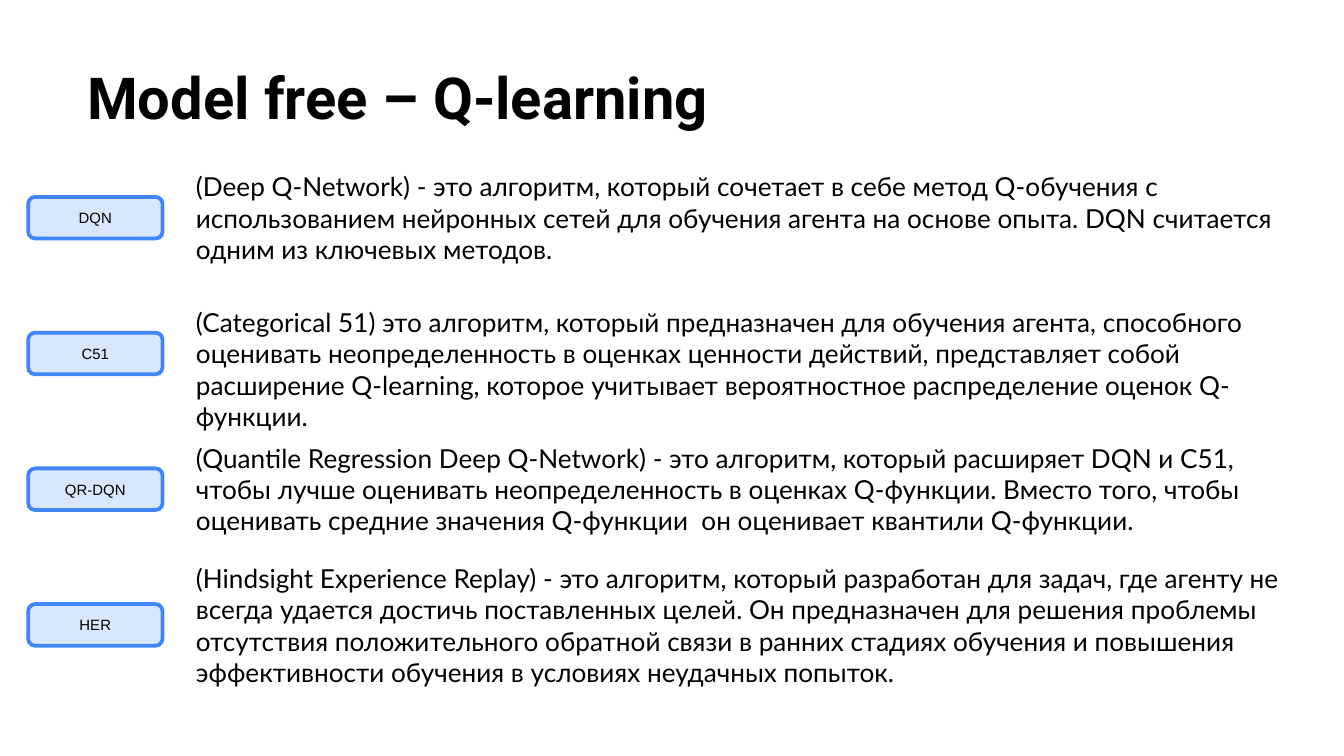
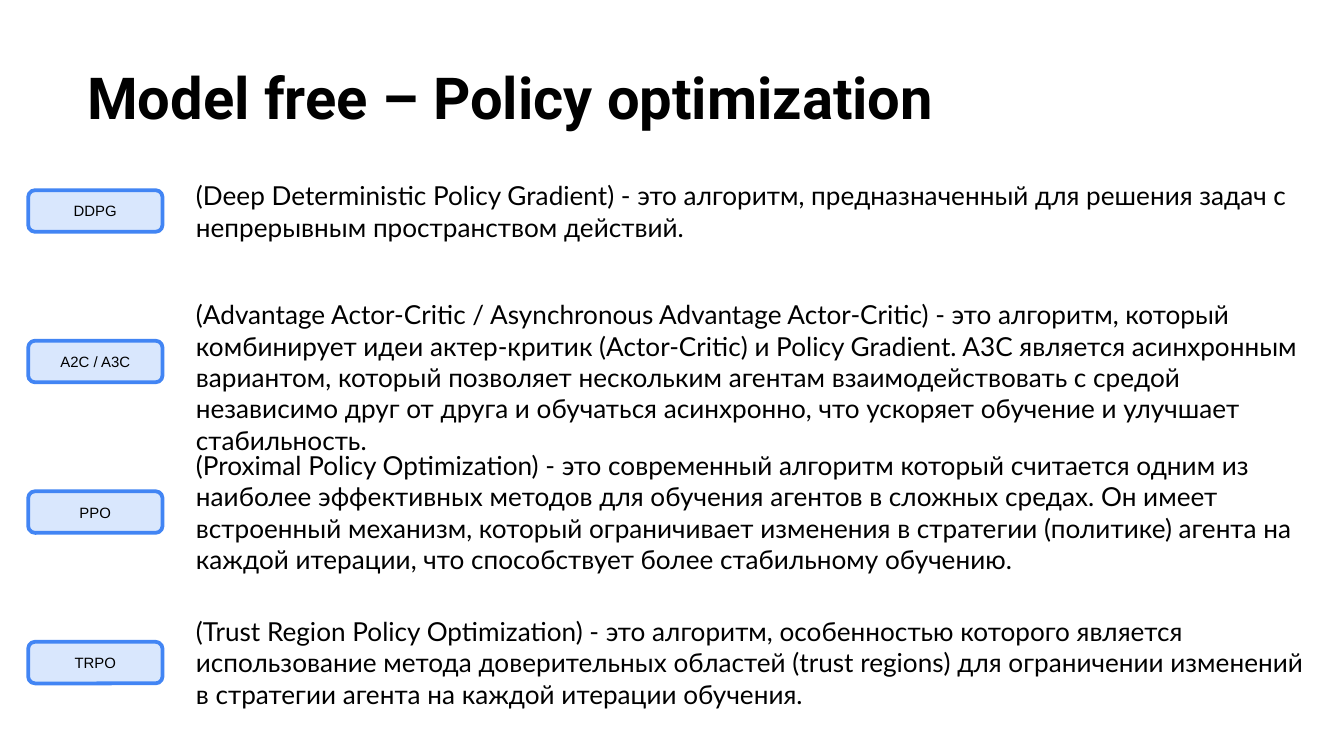
import pptx
import pptx.util
import pptx.dml.color
import pptx.enum.shapes
import pptx.enum.text

Inches = pptx.util.Inches
Pt = pptx.util.Pt
Anchor = pptx.enum.text.MSO_ANCHOR
Align = pptx.enum.text.PP_ALIGN
AutoSize = pptx.enum.text.MSO_AUTO_SIZE

COLOURS = {"ink": "000000", "badge": "D9E7FD", "border": "4285F4"}
BADGE_COLUMN, BADGE_WIDTH, BADGE_HEIGHT = 0.21, 1, 0.31
TEXT_COLUMN, TEXT_WIDTH = 1.36, 8.5
TEXT_SIZE = 14
LINE_HEIGHT = TEXT_SIZE * 1.2 / 72
TEXT_PADDING = 0.1

topics = [
    {
        "title": "Model free – Q-learning",
        "first_row": 1.62,
        "row_pitch": 1.01,
        "algorithms": [
            ("DQN", 3, "(Deep Q-Network) - это алгоритм, который сочетает в себе метод Q-обучения с "
             "использованием нейронных сетей для обучения агента на основе опыта. DQN считается "
             "одним из ключевых методов."),
            ("C51", 3, "(Categorical 51) это алгоритм, который предназначен для обучения агента, способного "
             "оценивать неопределенность в оценках ценности действий, представляет собой "
             "расширение Q-learning, которое учитывает вероятностное распределение оценок Q-функции."),
            ("QR-DQN", 3, "(Quantile Regression Deep Q-Network) - это алгоритм, который расширяет DQN и C51, "
             "чтобы лучше оценивать неопределенность в оценках Q-функции. Вместо того, чтобы "
             "оценивать средние значения Q-функции  он оценивает квантили Q-функции."),
            ("HER", 4, "(Hindsight Experience Replay) - это алгоритм, который разработан для задач, где агенту не "
             "всегда удается достичь поставленных целей. Он предназначен для решения проблемы "
             "отсутствия положительного обратной связи в ранних стадиях обучения и повышения "
             "эффективности обучения в условиях неудачных попыток."),
        ],
    },
    {
        "title": "Model free – Policy optimization",
        "first_row": 1.57,
        "row_pitch": 1.12,
        "algorithms": [
            ("DDPG", 2, "(Deep Deterministic Policy Gradient) - это алгоритм, предназначенный для решения задач c "
             "непрерывным пространством действий."),
            ("A2C / A3C", 4, "(Advantage Actor-Critic / Asynchronous Advantage Actor-Critic) - это алгоритм, который "
             "комбинирует идеи актер-критик (Actor-Critic) и Policy Gradient. A3C является асинхронным "
             "вариантом, который позволяет нескольким агентам взаимодействовать с средой "
             "независимо друг от друга и обучаться асинхронно, что ускоряет обучение и улучшает "
             "стабильность."),
            ("PPO", 4, "(Proximal Policy Optimization) - это современный алгоритм который считается одним из "
             "наиболее эффективных методов для обучения агентов в сложных средах. Он имеет "
             "встроенный механизм, который ограничивает изменения в стратегии (политике) агента на "
             "каждой итерации, что способствует более стабильному обучению."),
            ("TRPO", 3, "(Trust Region Policy Optimization) - это алгоритм, особенностью которого является "
             "использование метода доверительных областей (trust regions) для ограничении изменений "
             "в стратегии агента на каждой итерации обучения."),
        ],
    },
]


def colour(name):
    return pptx.dml.color.RGBColor.from_string(COLOURS[name])


def write(frame, text, font, size, align, anchor, bold=False):
    frame.text = text
    frame.word_wrap = True
    frame.vertical_anchor = anchor
    paragraph = frame.paragraphs[0]
    paragraph.alignment = align
    for run in paragraph.runs:
        run.font.name = font
        run.font.size = Pt(size)
        run.font.bold = bold
        run.font.color.rgb = colour("ink")


deck = pptx.Presentation()
deck.slide_width = Inches(10)
deck.slide_height = deck.slide_width * 9 // 16

for topic in topics:
    slide = deck.slides.add_slide(deck.slide_layouts[5])
    heading = slide.shapes.title
    heading.left, heading.top = Inches(0.55), Inches(0.36)
    heading.width, heading.height = Inches(9.32), Inches(1.07)
    write(heading.text_frame, topic["title"], "Roboto", 31, Align.LEFT, Anchor.TOP, bold=True)
    heading.text_frame.auto_size = AutoSize.NONE
    heading.text_frame.margin_top = heading.text_frame.margin_bottom = Inches(0.1)

    for row, (abbreviation, lines, summary) in enumerate(topic["algorithms"]):
        middle = topic["first_row"] + row * topic["row_pitch"]

        badge = slide.shapes.add_shape(
            pptx.enum.shapes.MSO_SHAPE.ROUNDED_RECTANGLE,
            Inches(BADGE_COLUMN), Inches(middle - BADGE_HEIGHT / 2),
            Inches(BADGE_WIDTH), Inches(BADGE_HEIGHT))
        badge.shadow.inherit = False
        badge.fill.solid()
        badge.fill.fore_color.rgb = colour("badge")
        badge.line.color.rgb = colour("border")
        badge.line.width = Pt(2)
        write(badge.text_frame, abbreviation, "Arial", 8, Align.CENTER, Anchor.MIDDLE)

        height = lines * LINE_HEIGHT + TEXT_PADDING
        description = slide.shapes.add_textbox(
            Inches(TEXT_COLUMN), Inches(middle - height / 2),
            Inches(TEXT_WIDTH), Inches(height))
        write(description.text_frame, summary, "Lato", TEXT_SIZE, Align.LEFT, Anchor.TOP)
        description.text_frame.auto_size = AutoSize.SHAPE_TO_FIT_TEXT

deck.save("out.pptx")
